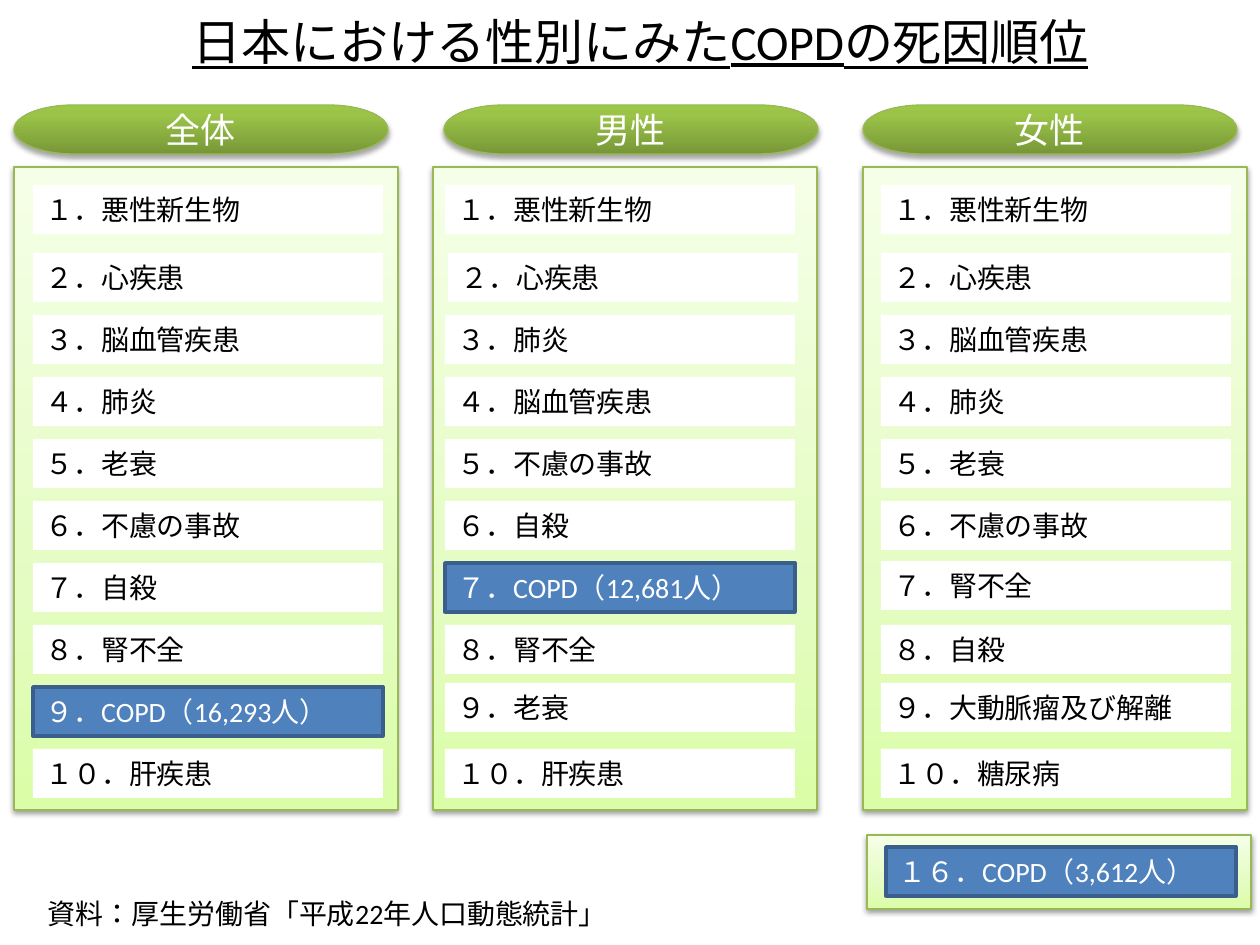
from copy import deepcopy

from lxml.etree import SubElement
from pptx import Presentation
from pptx.dml.color import RGBColor
from pptx.enum.lang import MSO_LANGUAGE_ID
from pptx.enum.shapes import MSO_SHAPE
from pptx.enum.text import MSO_ANCHOR, MSO_AUTO_SIZE, PP_ALIGN
from pptx.oxml.ns import qn
from pptx.util import Emu, Pt

PX_PER_INCH = 126
WHITE = RGBColor(0xFF, 0xFF, 0xFF)
BLACK = RGBColor(0x00, 0x00, 0x00)
BLUE = RGBColor(0x4F, 0x81, 0xBD)
BLUE_EDGE = RGBColor(0x3A, 0x5F, 0x8C)
GREEN_EDGE = RGBColor(0x98, 0xB9, 0x55)
PILL_STOPS = [
    (0, RGBColor(0x77, 0x97, 0x37)),
    (0.8, RGBColor(0x9B, 0xC3, 0x48)),
    (1, RGBColor(0x9D, 0xC7, 0x46)),
]
PANEL_STOPS = [
    (0, RGBColor(0xDA, 0xFD, 0xA7)),
    (0.35, RGBColor(0xE4, 0xFC, 0xC2)),
    (1, RGBColor(0xF5, 0xFF, 0xE7)),
]

PANEL_WIDTH = 384
ITEM_WIDTH, ITEM_HEIGHT = 350, 49
FIRST_ITEM_TOP, SECOND_ITEM_TOP, ITEM_PITCH = 185, 253, 62

# heading, pill left, panel left, item left, causes in order of rank
COLUMNS = [
    ("全体", 14, 14, 33,
     ["悪性新生物", "心疾患", "脳血管疾患", "肺炎", "老衰", "不慮の事故",
      "自殺", "腎不全", "COPD（16,293人）", "肝疾患"]),
    ("男性", 444, 433, 445,
     ["悪性新生物", "心疾患", "肺炎", "脳血管疾患", "不慮の事故", "自殺",
      "COPD（12,681人）", "腎不全", "老衰", "肝疾患"]),
    ("女性", 863, 863, 881,
     ["悪性新生物", "心疾患", "脳血管疾患", "肺炎", "老衰", "不慮の事故",
      "腎不全", "自殺", "大動脈瘤及び解離", "糖尿病"]),
]
# (heading, rank): shift right and down from the regular grid
ITEM_SHIFTS = {
    ("男性", 2): (3, 0),
    ("男性", 9): (0, -4),
    ("女性", 7): (0, -2),
    ("女性", 9): (0, -4),
}
FULL_WIDTH_DIGITS = str.maketrans("0123456789", "０１２３４５６７８９")


def px(length):
    return Emu(round(length * 914400 / PX_PER_INCH))


def write_text(shape, text, size=16, color=BLACK, align=PP_ALIGN.LEFT,
               anchor=MSO_ANCHOR.MIDDLE, underline=None):
    frame = shape.text_frame
    frame.word_wrap = True
    frame.vertical_anchor = anchor
    paragraph = frame.paragraphs[0]
    paragraph.alignment = align
    run = paragraph.add_run()
    run.text = text
    run.font.name = "Calibri"
    run.font.size = Pt(size)
    run.font.color.rgb = color
    run.font.underline = underline
    run.font.language_id = MSO_LANGUAGE_ID.JAPANESE


def add_text_box(slide, left, top, width, height, text, **text_format):
    box = slide.shapes.add_textbox(px(left), px(top), px(width), px(height))
    box.text_frame.auto_size = MSO_AUTO_SIZE.SHAPE_TO_FIT_TEXT
    write_text(box, text, align=PP_ALIGN.CENTER, anchor=MSO_ANCHOR.TOP, **text_format)


def add_plain_shape(slide, kind, left, top, width, height):
    shape = slide.shapes.add_shape(kind, px(left), px(top), px(width), px(height))
    shape.shadow.inherit = False
    return shape


def set_line(shape, color, width):
    shape.line.color.rgb = color
    shape.line.width = Pt(width)


def fill_upward(shape, stops):
    """Fill with a linear gradient of three stops that runs from bottom to top."""
    shape.fill.gradient()
    shape.fill.gradient_angle = 90
    stop_list = shape.element.spPr.find(".//" + qn("a:gsLst"))
    stop_list.append(deepcopy(stop_list[-1]))
    for stop, (position, color) in zip(shape.fill.gradient_stops, stops):
        stop.position = position
        stop.color.rgb = color


def drop_shadow(shape, distance, opacity):
    effects = shape.element.spPr.find(qn("a:effectLst"))
    shadow = SubElement(effects, qn("a:outerShdw"), blurRad=str(Pt(3.1)),
                        dist=str(Pt(distance)), dir="5400000", rotWithShape="0")
    color = SubElement(shadow, qn("a:srgbClr"), val=str(BLACK))
    SubElement(color, qn("a:alpha"), val=str(opacity * 1000))


def add_pill(slide, left, text):
    pill = add_plain_shape(slide, MSO_SHAPE.FLOWCHART_TERMINATOR, left, 105, 374, 49)
    fill_upward(pill, PILL_STOPS)
    set_line(pill, GREEN_EDGE, 0.75)
    drop_shadow(pill, 1.8, 35)
    write_text(pill, text, size=20, color=WHITE, align=PP_ALIGN.CENTER)


def add_panel(slide, left, top, height):
    panel = add_plain_shape(slide, MSO_SHAPE.RECTANGLE, left, top, PANEL_WIDTH, height)
    fill_upward(panel, PANEL_STOPS)
    set_line(panel, GREEN_EDGE, 0.75)
    drop_shadow(panel, 1.6, 38)


def add_item(slide, left, top, rank, cause):
    """Add one ranked cause of death; COPD is highlighted in blue."""
    highlighted = cause.startswith("COPD")
    item = add_plain_shape(slide, MSO_SHAPE.RECTANGLE, left, top, ITEM_WIDTH, ITEM_HEIGHT)
    item.fill.solid()
    item.fill.fore_color.rgb = BLUE if highlighted else WHITE
    if highlighted:
        set_line(item, BLUE_EDGE, 2)
    else:
        item.line.fill.background()
    number = str(rank).translate(FULL_WIDTH_DIGITS)
    write_text(item, f"{number}．{cause}", color=WHITE if highlighted else BLACK)


def add_column(slide, heading, pill_left, panel_left, item_left, causes):
    add_pill(slide, pill_left, heading)
    add_panel(slide, panel_left, 167, 643)
    for rank, cause in enumerate(causes, start=1):
        top = FIRST_ITEM_TOP if rank == 1 else SECOND_ITEM_TOP + (rank - 2) * ITEM_PITCH
        right_shift, down_shift = ITEM_SHIFTS.get((heading, rank), (0, 0))
        add_item(slide, item_left + right_shift, top + down_shift, rank, cause)


def main():
    presentation = Presentation()
    presentation.slide_width = px(1260)
    presentation.slide_height = px(945)
    slide = presentation.slides.add_slide(presentation.slide_layouts[6])

    add_text_box(slide, 20, 890, 615, 47, "資料：厚生労働省「平成22年人口動態統計」")
    for column in COLUMNS:
        add_column(slide, *column)
    add_panel(slide, 867, 835, 74)
    add_item(slide, 886, 847, 16, "COPD（3,612人）")
    add_text_box(slide, 105, 5, 1071, 72, "日本における性別にみたCOPDの死因順位",
                 size=28, underline=True)

    presentation.save("out.pptx")


if __name__ == "__main__":
    main()
